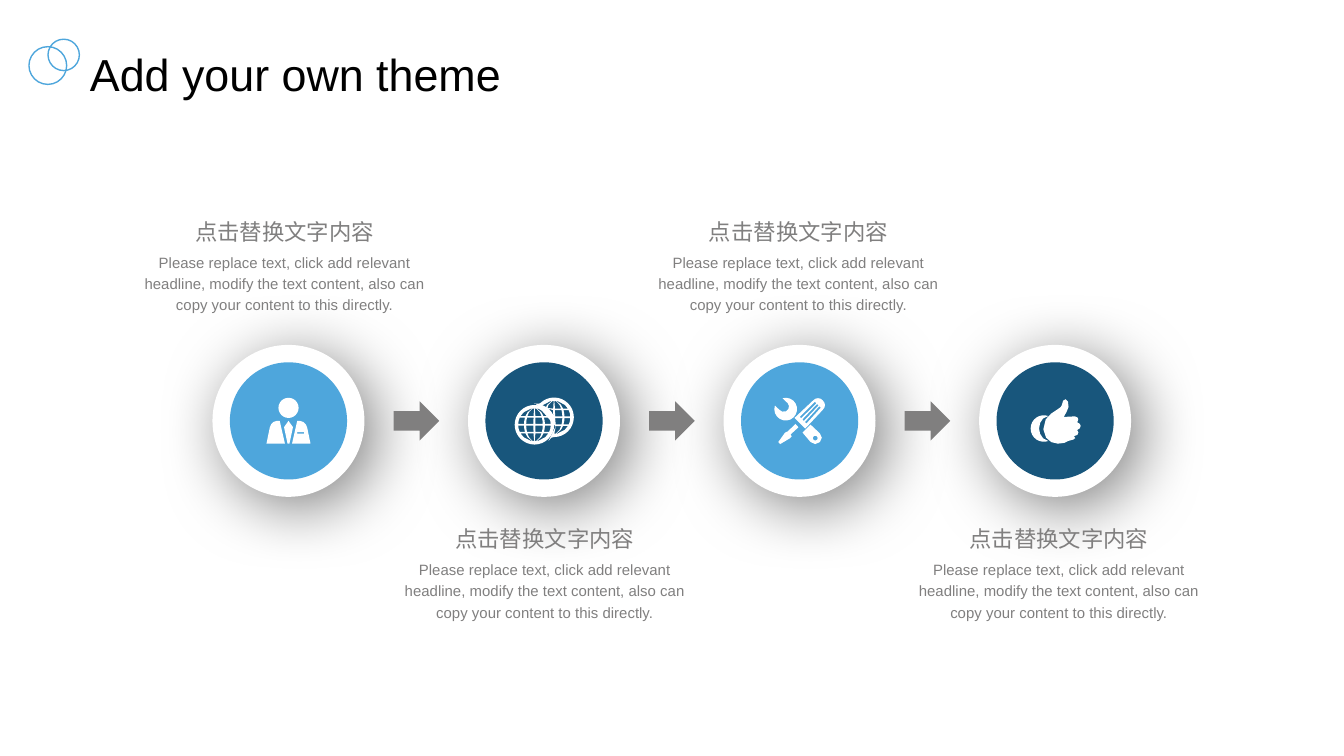
from math import cos, hypot, radians, sin, sqrt

from lxml.etree import SubElement
from pptx import Presentation
from pptx.dml.color import RGBColor
from pptx.enum.shapes import MSO_SHAPE
from pptx.enum.text import MSO_ANCHOR, PP_ALIGN
from pptx.oxml.ns import qn
from pptx.util import Pt

COLORS = {"blue": "4EA6DC", "navy": "18567C", "gray": "807F7F",
          "white": "FFFFFF", "black": "000000"}
HEADING = "点击替换文字内容"
BODY = ("Please replace text, click add relevant headline, modify the text "
        "content, also can copy your content to this directly.")
FRAME = {"margin_left": 0, "margin_top": 0, "margin_right": 0, "margin_bottom": 0,
         "word_wrap": True, "vertical_anchor": MSO_ANCHOR.TOP}

# Row of steps
FIRST_X, STEP, ROW_Y = 154.55, 136.9, 225.5
DISC, CORE = 81.4, 62.8
ARROW_OFFSET, ARROW_WIDTH, ARROW_HEIGHT = 56.3, 24.5, 21
HEADING_WIDTH, BODY_WIDTH, BODY_DROP = 100, 159.1, 17
CAPTIONS = [(152.5, 116.7), (291.9, 281.4), (427.8, 116.7), (567.3, 281.4)]


def rgb(name):
    return RGBColor.from_string(COLORS[name])


def set_format(target, values):
    for name, value in values.items():
        setattr(target, name, value)


def paint(shape, fill=None, line=None):
    shape.shadow.inherit = False
    if fill:
        shape.fill.solid()
        shape.fill.fore_color.rgb = rgb(fill)
    else:
        shape.fill.background()
    if line:
        shape.line.color.rgb = rgb(line)
        shape.line.width = Pt(0.75)
    else:
        shape.line.fill.background()


def write_text(shape, text, size, color, paragraph_format):
    set_format(shape.text_frame, FRAME)
    paragraph = shape.text_frame.paragraphs[0]
    paragraph.text = text
    set_format(paragraph, {"space_before": Pt(0), **paragraph_format})
    set_format(paragraph.font, {"size": Pt(size), "name": "Arial"})
    paragraph.font.color.rgb = rgb(color)


def add_circle(slide, x, y, diameter, **colors):
    corner = Pt(x - diameter / 2), Pt(y - diameter / 2)
    shape = slide.shapes.add_shape(MSO_SHAPE.OVAL, *corner, Pt(diameter), Pt(diameter))
    paint(shape, **colors)
    return shape


def add_shadow(shape):
    effects = shape._element.spPr.find(qn("a:effectLst"))
    shadow = SubElement(effects, qn("a:outerShdw"), blurRad=str(Pt(35)), dist=str(Pt(8)),
                        dir=str(45 * 60000), algn="ctr", rotWithShape="0")
    color = SubElement(shadow, qn("a:srgbClr"), val=COLORS["black"])
    SubElement(color, qn("a:alpha"), val="50000")


def add_outline(slide, x, y, *contours):
    """White figure around (x, y); contours after the first are holes."""
    contours = [[(Pt(x + dx), Pt(y + dy)) for dx, dy in points] for points in contours]
    builder = slide.shapes.build_freeform(*contours[0][0])
    builder.add_line_segments(contours[0][1:])
    for points in contours[1:]:
        builder.move_to(*points[0])
        builder.add_line_segments(points[1:])
    paint(builder.convert_to_shape(), fill="white")


def arc(x, y, radius, start=0, end=360, count=16):
    angles = [radians(start + (end - start) * i / count) for i in range(count + 1)]
    return [(x + radius * cos(angle), y + radius * sin(angle)) for angle in angles]


# Icons, drawn around the centre of their disc
def draw_person(slide, x, y):
    half = [(4.7, 0), (6.2, 0), (8, 0.6), (9.3, 1.9), (10, 3.5), (11.8, 12.2), (1.9, 12.2)]
    pocket = [(4.7, 6.1), (8.4, 6.1), (8.4, 6.9), (4.7, 6.9)]
    add_circle(slide, x, y - 7, 10.8, fill="white")
    add_outline(slide, x, y, half, pocket)
    add_outline(slide, x, y, [(-dx, dy) for dx, dy in half])
    add_outline(slide, x, y, [(0, 0), (-2.4, 3.4), (-0.5, 12.2), (0.5, 12.2), (2.4, 3.4)])


def globe(x, y, radius):
    """Disc with a hole for each cell between meridians and parallels."""
    rows = [(-0.82, -0.44), (-0.36, -0.04), (0.04, 0.36), (0.44, 0.82)]
    columns = [(-0.98, -0.63), (-0.5, -0.06), (0.06, 0.5), (0.63, 0.98)]
    contours = [arc(x, y, radius, count=32)]
    for top, bottom in rows:
        levels = (top, (top + bottom) / 2, bottom)
        for left, right in columns:
            sides = [[(x + radius * edge * sqrt(0.84 ** 2 - level ** 2), y + radius * level)
                      for level in levels] for edge in (left, right)]
            contours.append(sides[0] + sides[1][::-1])
    return contours


def push_out(point, x, y, radius):
    dx, dy = point[0] - x, point[1] - y
    scale = max(1, radius / max(hypot(dx, dy), 0.01))
    return x + dx * scale, y + dy * scale


def draw_globes(slide, x, y):
    front, radius = (-5.1, 2.1), 10.6
    gap = radius + 0.8
    # The back globe keeps only what lies outside the front one
    back = [[push_out(point, *front, gap) for point in points]
            for points in globe(5.4, -1.9, radius)
            if any(hypot(px - front[0], py - front[1]) > gap for px, py in points)]
    add_outline(slide, x, y, *globe(*front, radius))
    add_outline(slide, x, y, *back)


def draw_tools(slide, x, y):
    slots = [[(0.1 + 1.4 * i, -2.2 + 1.4 * i), (8.2 + 1.2 * i, -10.3 + 1.2 * i),
              (9 + 1.2 * i, -9.5 + 1.2 * i), (0.9 + 1.4 * i, -1.4 + 1.4 * i)]
             for i in range(3)]
    handle = [(-2.7, -1.6), (7.3, -11), (8.5, -11.9), (9.9, -12.2), (11.3, -11.9),
              (12.4, -11), (13.3, -9.8), (13.6, -8.5), (13.3, -7.1), (12.4, -5.9), (3, 4.1)]
    blade = [(-0.6, 3.4), (-2.2, 1.6), (-6.3, 5.6), (-7.8, 6.3), (-11.4, 11.3),
             (-10.4, 12.4), (-5, 9.2), (-4.2, 8.2), (-4.9, 7.3)]
    jaw = [(-10.7, -5.9), (-9.3, -5), (-7.3, -5.1), (-6, -6.3), (-5.6, -8), (-6.3, -9.5)]
    grip = [(5.9, 2), (10.9, 6.7), (11.9, 9), (10.9, 11.3), (8.4, 12.4), (5.9, 11.3), (1.6, 6.3)]
    add_outline(slide, x, y, handle, *slots)
    add_outline(slide, x, y, blade)
    add_outline(slide, x, y, arc(-7.4, -6.3, 6.1, -106, 198) + jaw)
    add_outline(slide, x, y, grip, arc(8.4, 9.2, 1.3, count=10))


def draw_thumb(slide, x, y):
    cuff = arc(-6, 4.1, 7.1, 290, 70) + [(-6.4, 9.4), (-8, 7), (-8.6, 4.1), (-8, 1.1), (-6.4, -1.3)]
    hand = [(13.7, 2.7), (13.2, 1.6), (11.9, 0.8), (12.4, -0.9), (11.9, -1.9), (10.5, -2.4),
            (4.6, -2.1), (6, -4.5), (7.2, -7.4), (6.9, -10.4), (5.6, -11.6), (4.3, -10.8),
            (3.5, -8.1), (2.8, -7.2), (-2.2, -3.8), (-5, -0.8), (-6.3, 4.5), (-4.8, 9),
            (-2, 11.4), (1.5, 12.2), (5, 11.8), (7.2, 10.7), (9.8, 10), (10.8, 9.2),
            (10.1, 8.3), (12, 7.4), (12.5, 6.2), (11.8, 4.9), (13.2, 4)]
    add_outline(slide, x, y, cuff)
    add_outline(slide, x, y, hand)


def add_title(slide):
    title = slide.shapes.title
    set_format(title, {"left": Pt(48.2), "top": Pt(19), "width": Pt(232.6), "height": Pt(34.6)})
    write_text(title, "Add your own theme", 24, "black",
               {"alignment": PP_ALIGN.LEFT, "line_spacing": 1.2})
    add_circle(slide, 25.6, 35.1, 20.2, line="blue")
    add_circle(slide, 34.1, 29.4, 16.8, line="blue")


def add_step(slide, x, color, draw_icon):
    add_shadow(add_circle(slide, x, ROW_Y, DISC, fill="white"))
    add_circle(slide, x, ROW_Y, CORE, fill=color)
    draw_icon(slide, x, ROW_Y)


def add_arrow(slide, x):
    arrow = slide.shapes.add_shape(MSO_SHAPE.RIGHT_ARROW, Pt(x), Pt(ROW_Y - ARROW_HEIGHT / 2),
                                   Pt(ARROW_WIDTH), Pt(ARROW_HEIGHT))
    paint(arrow, fill="gray")


def add_caption(slide, x, top):
    centered = {"alignment": PP_ALIGN.CENTER}
    for text, size, width, y, height, layout in (
            (HEADING, 12, HEADING_WIDTH, top, 14.4, centered),
            (BODY, 8, BODY_WIDTH, top + BODY_DROP, 34.6, {**centered, "line_spacing": 1.2})):
        box = slide.shapes.add_textbox(Pt(x - width / 2), Pt(y), Pt(width), Pt(height))
        write_text(box, text, size, "gray", layout)


def main():
    presentation = Presentation()
    set_format(presentation, {"slide_width": Pt(720), "slide_height": Pt(405)})
    slide = presentation.slides.add_slide(presentation.slide_layouts[5])
    add_title(slide)
    # Discs with icons, then the arrows between them
    steps = [("blue", draw_person), ("navy", draw_globes),
             ("blue", draw_tools), ("navy", draw_thumb)]
    centers = [FIRST_X + i * STEP for i in range(len(steps))]
    for x, (color, draw_icon) in zip(centers, steps):
        add_step(slide, x, color, draw_icon)
    for x in centers[:-1]:
        add_arrow(slide, x + ARROW_OFFSET)
    # Captions above and below the row
    for x, top in CAPTIONS:
        add_caption(slide, x, top)
    presentation.save("out.pptx")


if __name__ == "__main__":
    main()
